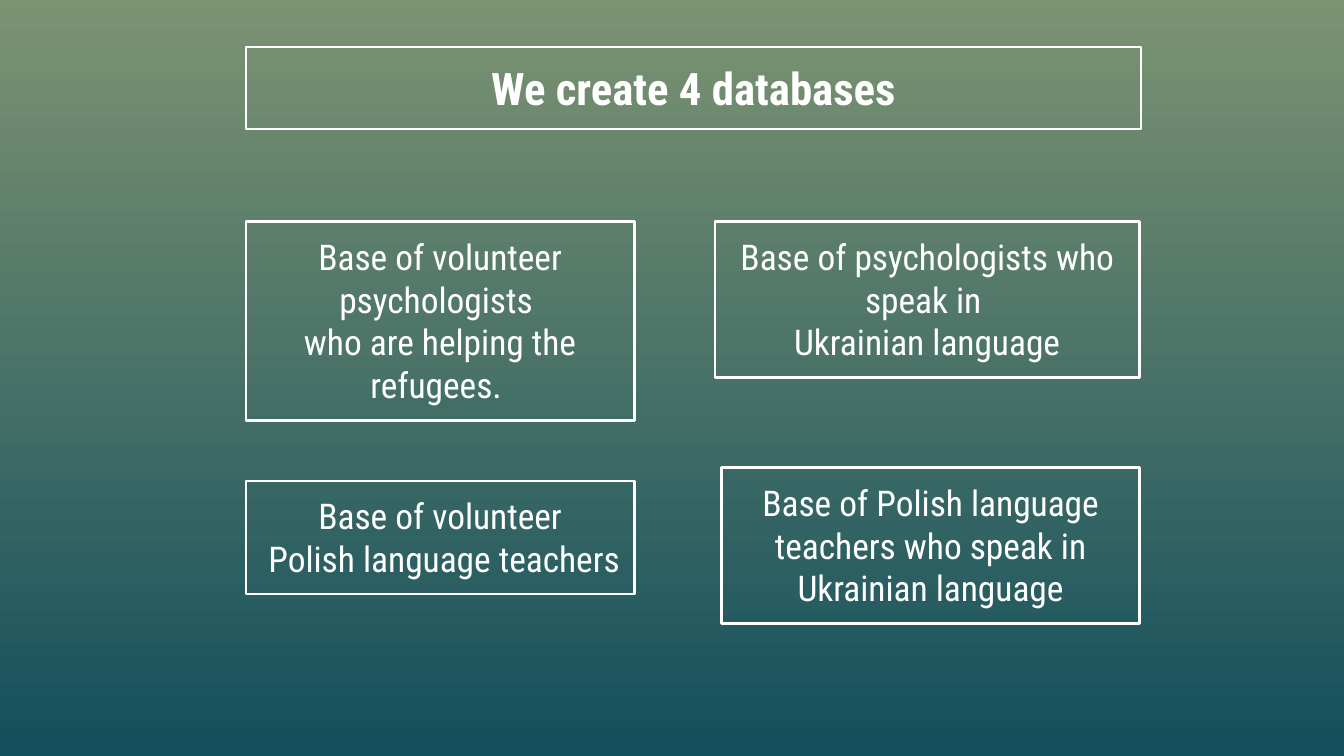
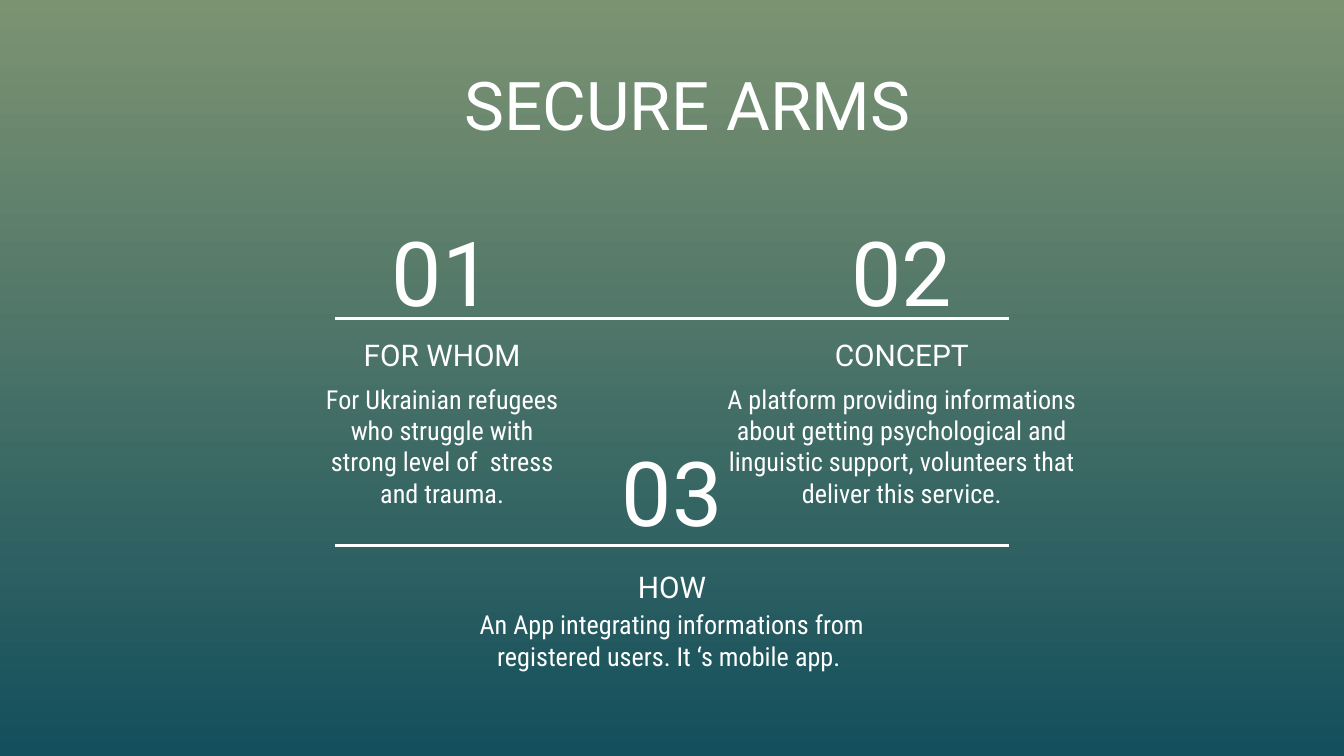
import dataclasses

import lxml.etree
import pptx
import pptx.dml.color
import pptx.enum.shapes
import pptx.enum.text
import pptx.oxml.ns
import pptx.presentation
import pptx.shapes.base
import pptx.slide
import pptx.text.text
import pptx.util

Inches = pptx.util.Inches
Anchor = pptx.enum.text.MSO_ANCHOR

WHITE = pptx.dml.color.RGBColor(0xFF, 0xFF, 0xFF)
SAGE = pptx.dml.color.RGBColor(0x7C, 0x93, 0x72)
DEEP_TEAL = pptx.dml.color.RGBColor(0x13, 0x4F, 0x5C)
DISPLAY_FONT = "Roboto"
BODY_FONT = "Roboto Condensed"
OUTLINE = pptx.util.Pt(1.5)
SLIDE_WIDTH = Inches(10)
SLIDE_HEIGHT = SLIDE_WIDTH * 9 // 16
TITLE_ONLY = 5


@dataclasses.dataclass(frozen=True)
class Box:
    left: float
    top: float
    width: float
    height: float

    def lengths(self) -> tuple:
        return tuple(map(Inches, (self.left, self.top, self.width, self.height)))


@dataclasses.dataclass(frozen=True)
class Database:
    box: Box
    text: str


@dataclasses.dataclass(frozen=True)
class Step:
    """A numbered topic whose three texts share one vertical axis."""
    number: str
    heading: str
    body: str
    center: float
    number_top: float
    heading_top: float
    body_top: float
    body_width: float
    body_height: float


DATABASES_TITLE_BOX = Box(1.83, 0.35, 6.66, 0.61)
DATABASES = (
    Database(Box(1.83, 1.65, 2.89, 1.48),
             "Base of volunteer psychologists \nwho are helping the refugees. "),
    Database(Box(5.32, 1.65, 3.16, 1.16),
             "Base of psychologists who speak in \nUkrainian language"),
    Database(Box(1.83, 3.58, 2.89, 0.84),
             "Base of volunteer\n Polish language teachers "),
    Database(Box(5.37, 3.48, 3.11, 1.16),
             "Base of Polish language teachers who speak in Ukrainian language"),
)

CONCEPT_TITLE_BOX = Box(1.34, 0.37, 7.55, 1.03)
STEPS = (
    Step("01", "FOR WHOM",
         "For Ukrainian refugees who struggle with strong level of  stress and trauma.",
         3.29, 1.7, 2.24, 2.75, 2.08, 0.82),
    Step("02", "CONCEPT",
         "A platform providing informations about getting psychological and "
         "linguistic support, volunteers that deliver this service.",
         6.71, 1.7, 2.24, 2.75, 2.88, 0.95),
    Step("03", "HOW",
         "An App integrating informations from registered users. It ‘s mobile app. ",
         5, 3.34, 3.97, 4.43, 3.86, 1.2),
)
RULE_LEFT, RULE_RIGHT = 2.49, 7.51
RULE_TOPS = (2.37, 4.06)


def write_text(frame: pptx.text.text.TextFrame, text: str, *, size: float,
               font: str = BODY_FONT, bold: bool = False,
               anchor: Anchor = Anchor.TOP, grow: bool = False) -> None:
    """Fill the frame with centred white text, one paragraph per line."""
    sizing = pptx.enum.text.MSO_AUTO_SIZE
    frame.text = text
    frame.word_wrap = True
    frame.auto_size = sizing.SHAPE_TO_FIT_TEXT if grow else sizing.NONE
    frame.vertical_anchor = anchor
    frame.margin_left = frame.margin_right = Inches(0.1)
    frame.margin_top = frame.margin_bottom = Inches(0.1)
    for paragraph in frame.paragraphs:
        paragraph.alignment = pptx.enum.text.PP_ALIGN.CENTER
        for run in paragraph.runs:
            run.font.name = font
            run.font.size = pptx.util.Pt(size)
            run.font.bold = bold
            run.font.color.rgb = WHITE


def add_gradient_slide(deck: pptx.presentation.Presentation) -> pptx.slide.Slide:
    slide = deck.slides.add_slide(deck.slide_layouts[TITLE_ONLY])
    fill = slide.background.fill
    fill.gradient()
    fill.gradient_angle = 270
    for stop, color in zip(fill.gradient_stops, (SAGE, DEEP_TEAL)):
        stop.color.rgb = color
    return slide


def place_title(slide: pptx.slide.Slide, text: str, box: Box,
                **text_format) -> pptx.shapes.base.BaseShape:
    title = slide.shapes.title
    title.left, title.top, title.width, title.height = box.lengths()
    write_text(title.text_frame, text, **text_format)
    return title


def outline(shape: pptx.shapes.base.BaseShape) -> None:
    shape.fill.background()
    shape.line.color.rgb = WHITE
    shape.line.width = OUTLINE


def add_database(slide: pptx.slide.Slide, database: Database) -> None:
    frame = slide.shapes.add_shape(
        pptx.enum.shapes.MSO_SHAPE.RECTANGLE, *database.box.lengths())
    frame.shadow.inherit = False
    outline(frame)
    write_text(frame.text_frame, database.text, size=19, grow=True)


def add_label(slide: pptx.slide.Slide, text: str, center: float, top: float,
              width: float, height: float, **text_format) -> None:
    box = Box(center - width / 2, top, width, height)
    label = slide.shapes.add_textbox(*box.lengths())
    write_text(label.text_frame, text, **text_format)


def add_step(slide: pptx.slide.Slide, step: Step) -> None:
    add_label(slide, step.number, step.center, step.number_top, 1.92, 0.63,
              size=48, font=DISPLAY_FONT, anchor=Anchor.MIDDLE)
    add_label(slide, step.heading, step.center, step.heading_top, 2.88, 0.63,
              size=16, font=DISPLAY_FONT, anchor=Anchor.BOTTOM)
    add_label(slide, step.body, step.center, step.body_top,
              step.body_width, step.body_height, size=14)


def add_rule(slide: pptx.slide.Slide, top: float) -> None:
    rule = slide.shapes.add_connector(
        pptx.enum.shapes.MSO_CONNECTOR.STRAIGHT,
        Inches(RULE_LEFT), Inches(top), Inches(RULE_RIGHT), Inches(top))
    rule.line.color.rgb = WHITE
    rule.line.width = OUTLINE
    lxml.etree.SubElement(rule._element.spPr, pptx.oxml.ns.qn("a:effectLst"))


def build_databases_slide(deck: pptx.presentation.Presentation) -> None:
    slide = add_gradient_slide(deck)
    title = place_title(slide, " We create 4 databases ", DATABASES_TITLE_BOX,
                        size=24, bold=True)
    outline(title)
    for database in DATABASES:
        add_database(slide, database)


def build_concept_slide(deck: pptx.presentation.Presentation) -> None:
    slide = add_gradient_slide(deck)
    place_title(slide, "SECURE ARMS", CONCEPT_TITLE_BOX,
                size=36, font=DISPLAY_FONT)
    for step in STEPS:
        add_step(slide, step)
    for top in RULE_TOPS:
        add_rule(slide, top)


def main() -> None:
    deck = pptx.Presentation()
    deck.slide_width, deck.slide_height = SLIDE_WIDTH, SLIDE_HEIGHT
    build_databases_slide(deck)
    build_concept_slide(deck)
    deck.save("out.pptx")


if __name__ == "__main__":
    main()
